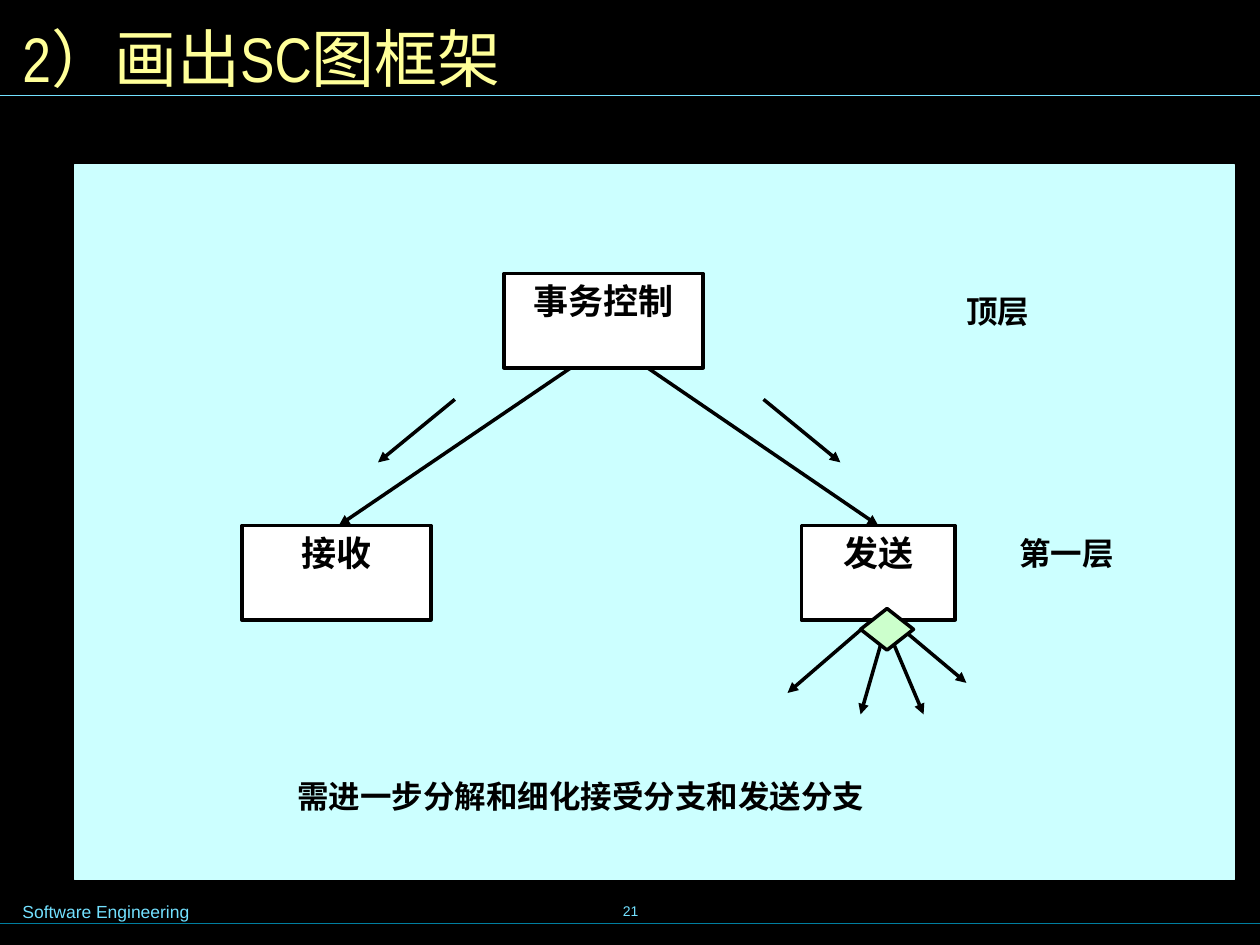
from lxml import etree
from pptx import Presentation
from pptx.dml.color import RGBColor
from pptx.enum import shapes, text
from pptx.oxml.ns import qn
from pptx.util import Inches, Pt

COLORS = {
    "back": "000000", "ink": "000000", "panel": "CCFFFF", "box": "FFFFFF",
    "gem": "CCFFCC", "title": "FFFF99", "sky": "73E1FF", "teal": "007E9F",
}
LEFT, CENTER = text.PP_ALIGN.LEFT, text.PP_ALIGN.CENTER
TOP, MIDDLE = text.MSO_ANCHOR.TOP, text.MSO_ANCHOR.MIDDLE
RECT, DIAMOND = shapes.MSO_SHAPE.RECTANGLE, shapes.MSO_SHAPE.DIAMOND


def color(name):
    return RGBColor.from_string(COLORS[name])


def write(shape, words, size, face, tint, bold=False, align=LEFT,
          anchor=TOP, wrap=True):
    frame = shape.text_frame
    frame.word_wrap = wrap
    frame.vertical_anchor = anchor
    para = frame.paragraphs[0]
    para.text = words
    para.alignment = align
    font = para.font
    font.size, font.name, font.bold = Pt(size), face, bold
    font.color.rgb = color(tint)


def add_label(slide, place, words, size, face, tint, **style):
    box = slide.shapes.add_textbox(*map(Inches, place))
    write(box, words, size, face, tint, **style)
    return box


def add_block(slide, kind, place, fill, line="ink", width=2):
    block = slide.shapes.add_shape(kind, *map(Inches, place))
    block.shadow.inherit = False
    block.fill.solid()
    block.fill.fore_color.rgb = color(fill)
    block.line.color.rgb = color(line)
    block.line.width = Pt(width)
    return block


def add_line(slide, ends, tint="ink", width=2, arrow=True):
    line = slide.shapes.add_connector(
        shapes.MSO_CONNECTOR.STRAIGHT, *map(Inches, ends))
    line.line.color.rgb = color(tint)
    line.line.width = Pt(width)
    props = line.element.spPr
    if arrow:
        etree.SubElement(props.find(qn("a:ln")), qn("a:tailEnd"), type="triangle")
    etree.SubElement(props, qn("a:effectLst"))


def add_frame(slide):
    add_label(slide, (3.42, 6.98, 3.17, 0.5), "21", 8, "Arial", "sky",
              align=CENTER, anchor=MIDDLE, wrap=False)
    add_line(slide, (0, 7.33, 10.04, 7.33), "teal", 0.75, False)
    add_line(slide, (0, 0.76, 10, 0.76), "sky", 0.75, False)
    add_label(slide, (0.08, 7.1, 2.95, 0.27), "Software Engineering",
              10, "Arial", "sky")
    add_block(slide, RECT, (0.59, 1.31, 9.21, 5.67), "panel", "panel", 0.75)
    add_label(slide, (0.08, 0.08, 9.84, 0.75), "2）画出SC图框架",
              36, "Arial Narrow", "title", anchor=MIDDLE)


def add_chart(slide):
    modules = [("发送", 6.36, 4.17, 1.22), ("事务控制", 4, 2.17, 1.58),
               ("接收", 1.92, 4.17, 1.5)]
    for words, left, top, width in modules:
        block = add_block(slide, RECT, (left, top, width, 0.75), "box")
        write(block, words, 20, "Times New Roman", "ink", bold=True, align=CENTER)

    calls = [(4.53, 2.92, 2.69, 4.17), (5.14, 2.92, 6.97, 4.17)]
    flows = [(3.61, 3.17, 3, 3.67), (6.06, 3.17, 6.67, 3.67)]
    sends = [(6.83, 5, 6.25, 5.5), (7, 5.08, 6.83, 5.67),
             (7.08, 5.08, 7.33, 5.67), (7.17, 5, 7.67, 5.42)]
    for ends in calls + flows + sends:
        add_line(slide, ends)
    add_block(slide, DIAMOND, (6.83, 4.83, 0.42, 0.33), "gem")


def add_notes(slide):
    levels = [("顶层", 7.57, 2.27, 0.7), ("第一层", 7.99, 4.19, 0.95)]
    for words, left, top, width in levels:
        add_label(slide, (left, top, width, 0.4), words, 18,
                  "Times New Roman", "ink", bold=True, wrap=False)
    note = add_label(slide, (2.24, 6.11, 6.06, 0.42),
                     "需进一步分解和细化接受分支和发送分支",
                     18, "Arial", "ink", bold=True)
    frame = note.text_frame
    frame.margin_left = frame.margin_right = Inches(0.12)
    frame.margin_top = frame.margin_bottom = Inches(0.06)


def main():
    deck = Presentation()
    deck.slide_width, deck.slide_height = Inches(10), Inches(7.5)
    slide = deck.slides.add_slide(deck.slide_layouts[6])
    slide.background.fill.solid()
    slide.background.fill.fore_color.rgb = color("back")
    add_frame(slide)
    add_chart(slide)
    add_notes(slide)
    deck.save("out.pptx")


if __name__ == "__main__":
    main()
